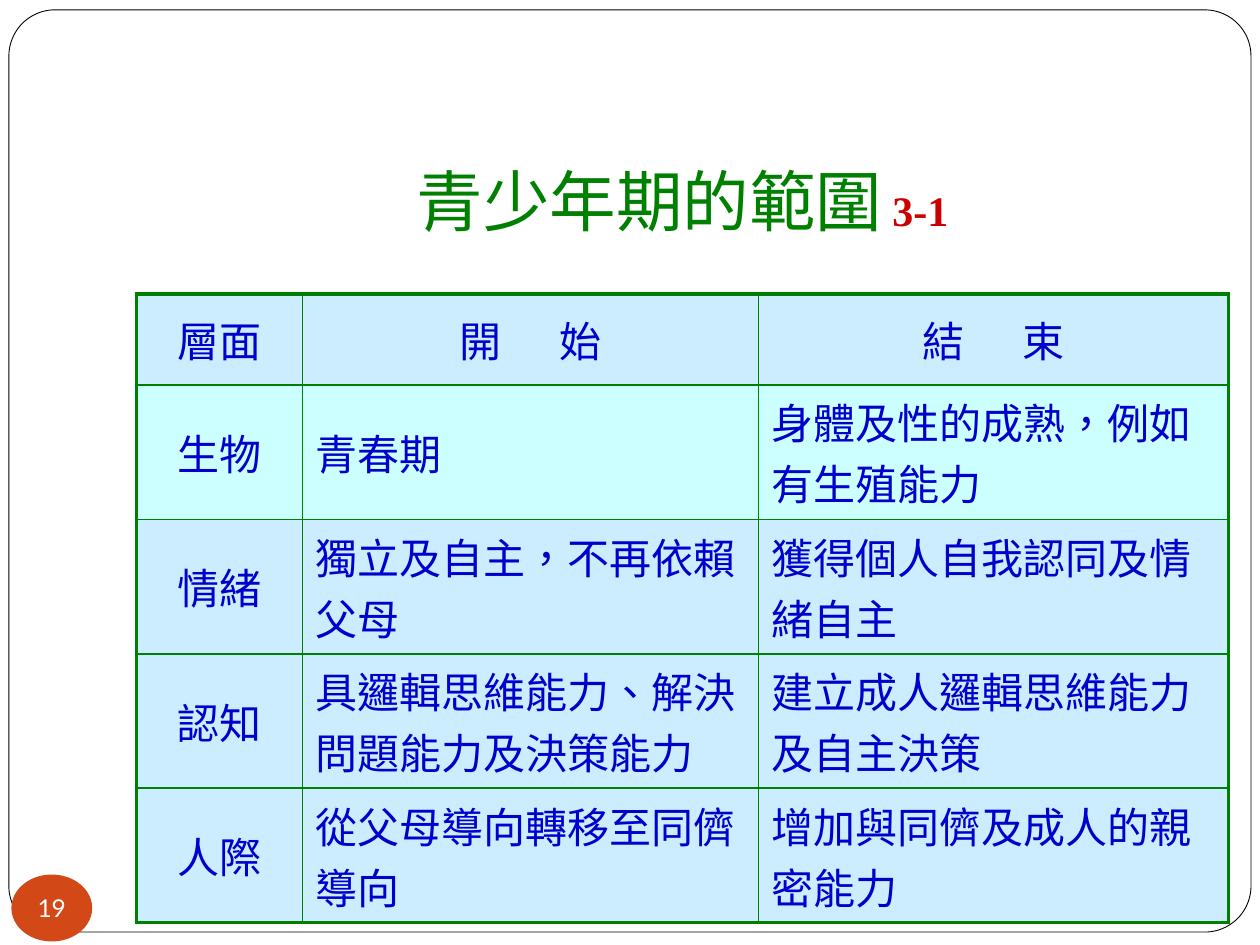
from collections import namedtuple
from dataclasses import dataclass

from lxml import etree
from pptx import Presentation
from pptx.dml.color import RGBColor
from pptx.enum.lang import MSO_LANGUAGE_ID
from pptx.enum.shapes import MSO_SHAPE
from pptx.enum.text import MSO_ANCHOR, PP_ALIGN
from pptx.oxml.ns import qn
from pptx.util import Cm, Pt

ROUNDED = MSO_SHAPE.ROUNDED_RECTANGLE
OVAL = MSO_SHAPE.OVAL
LEFT, CENTER = PP_ALIGN.LEFT, PP_ALIGN.CENTER
MIDDLE, BOTTOM = MSO_ANCHOR.MIDDLE, MSO_ANCHOR.BOTTOM
TRADITIONAL_CHINESE = MSO_LANGUAGE_ID.TAIWAN if hasattr(
    MSO_LANGUAGE_ID, "TAIWAN") else MSO_LANGUAGE_ID.TRADITIONAL_CHINESE

Box = namedtuple("Box", "left top width height")


@dataclass(frozen=True)
class Theme:
    green: str = "008000"
    red: str = "CC0000"
    blue: str = "0000CC"
    sky: str = "CCECFF"
    aqua: str = "CCFFFF"
    orange: str = "D34817"
    white: str = "FFFFFF"
    black: str = "000000"
    serif: str = "Times New Roman"
    sans: str = "Arial"
    badge_font: str = "Lato"
    title_size: float = 38
    body_size: float = 24
    badge_size: float = 14
    thick: float = 2.25
    thin: float = 1


THEME = Theme()
COLUMN_WIDTHS = [3.35, 9.19, 9.47]
HEADING_HEIGHT, ASPECT_HEIGHT = 1.83, 2.71
HEADINGS = ["層面", "開 始", "結 束"]
ASPECTS = [
    ["生物", "青春期", "身體及性的成熟，例如有生殖能力"],
    ["情緒", "獨立及自主，不再依賴父母", "獲得個人自我認同及情緒自主"],
    ["認知", "具邏輯思維能力、解決問題能力及決策能力", "建立成人邏輯思維能力及自主決策"],
    ["人際", "從父母導向轉移至同儕導向", "增加與同儕及成人的親密能力"],
]
ROW_HEIGHTS = [HEADING_HEIGHT] + [ASPECT_HEIGHT] * len(ASPECTS)


def in_cm(box):
    return [Cm(length) for length in box]


def add_text(para, text, *, font=THEME.serif, size=THEME.body_size,
             color=THEME.blue, bold=False, align=LEFT, spacing=0):
    """Append a span; spacing is extra points after each character."""
    para.alignment = align
    span = para.add_run()
    span.text = text
    span.font.name = font
    span.font.size = Pt(size)
    span.font.bold = bold
    span.font.color.rgb = RGBColor.from_string(color)
    span.font._element.set("lang", "zh-TW")
    if spacing:
        span.font._element.set("spc", str(round(spacing * 100)))


def add_plain_shape(page, kind, box, fill):
    shape = page.shapes.add_shape(kind, *in_cm(box))
    shape.shadow.inherit = False
    shape.fill.solid()
    shape.fill.fore_color.rgb = RGBColor.from_string(fill)
    shape.line.fill.background()
    return shape


def add_frame(page, box):
    frame = add_plain_shape(page, ROUNDED, box, THEME.white)
    frame.adjustments[0] = 0.05
    frame.line.color.rgb = RGBColor.from_string(THEME.black)
    frame.line.width = Pt(0.5)


def add_title(page, box):
    frame = page.shapes.add_textbox(*in_cm(box)).text_frame
    frame.word_wrap = True
    frame.vertical_anchor = BOTTOM
    frame.margin_bottom = Cm(0.25)
    para = frame.paragraphs[0]
    add_text(para, "青少年期的範圍", size=THEME.title_size,
             color=THEME.green, align=CENTER)
    add_text(para, " 3-1", color=THEME.red, bold=True, align=CENTER)


def set_borders(cell, widths):
    properties = cell._tc.get_or_add_tcPr()
    for side, width in widths.items():
        line = etree.SubElement(properties, qn(f"a:ln{side}"), w=str(Pt(width)))
        fill = etree.SubElement(line, qn("a:solidFill"))
        etree.SubElement(fill, qn("a:srgbClr"), val=THEME.green)


def add_aspect_table(page, box):
    rows = [HEADINGS] + ASPECTS
    last_row, last_column = len(rows) - 1, len(HEADINGS) - 1
    table = page.shapes.add_table(len(rows), len(HEADINGS), *in_cm(box)).table
    table.first_row = table.horz_banding = False
    for column, width in zip(table.columns, COLUMN_WIDTHS):
        column.width = Cm(width)
    for row, height in zip(table.rows, ROW_HEIGHTS):
        row.height = Cm(height)

    for r, texts in enumerate(rows):
        for c, text in enumerate(texts):
            cell = table.cell(r, c)
            outer = {"L": c == 0, "R": c == last_column,
                     "T": r == 0, "B": r == last_row}
            set_borders(cell, {side: THEME.thick if edge else THEME.thin
                               for side, edge in outer.items()})
            cell.fill.solid()
            cell.fill.fore_color.rgb = RGBColor.from_string(
                THEME.aqua if r == 1 else THEME.sky)
            cell.vertical_anchor = MIDDLE
            para = cell.text_frame.paragraphs[0]
            # The space inside a heading is widened to spread its characters.
            for part in text.partition(" "):
                if part:
                    add_text(para, part,
                             font=THEME.sans if r == 0 else THEME.serif,
                             align=CENTER if r == 0 or c == 0 else LEFT,
                             spacing=27.5 if part == " " else 0)


def add_page_number(page, box, number):
    badge = add_plain_shape(page, OVAL, box, THEME.orange)
    frame = badge.text_frame
    frame.word_wrap = False
    frame.vertical_anchor = MIDDLE
    frame.margin_left = frame.margin_right = 0
    frame.margin_top = frame.margin_bottom = 0
    add_text(frame.paragraphs[0], number, font=THEME.badge_font,
             size=THEME.badge_size, color=THEME.white, align=CENTER)


def main():
    deck = Presentation()
    deck.slide_width, deck.slide_height = Cm(25.4), Cm(19.05)
    page = deck.slides.add_slide(deck.slide_layouts[6])
    add_frame(page, Box(0.18, 0.2, 25.04, 18.59))
    add_title(page, Box(2.75, 2.51, 22.02, 2.57))
    add_aspect_table(page, Box(2.75, 5.93, sum(COLUMN_WIDTHS), sum(ROW_HEIGHTS)))
    add_page_number(page, Box(0.23, 17.63, 1.63, 1.35), "19")
    deck.save("out.pptx")


if __name__ == "__main__":
    main()
